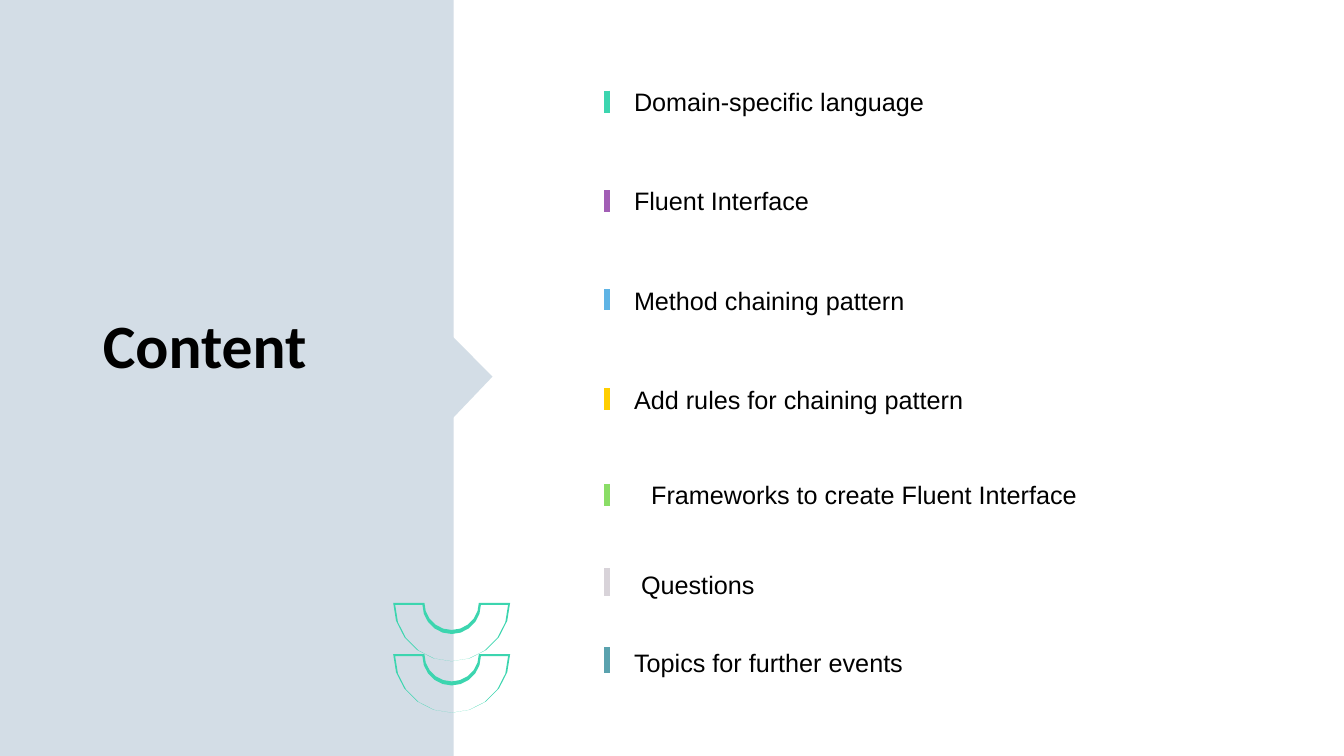
from math import cos, pi, sin

from lxml.etree import SubElement
from pptx import Presentation
from pptx.dml.color import RGBColor
from pptx.enum.shapes import MSO_CONNECTOR, MSO_SHAPE
from pptx.enum.text import MSO_ANCHOR, MSO_AUTO_SIZE, PP_ALIGN
from pptx.oxml.ns import qn
from pptx.util import Inches, Pt

COLORS = {
    "panel": "D3DDE6",
    "text": "000000",
    "mint": "3CD5AF",
    "purple": "A25EB5",
    "blue": "5FB4E5",
    "yellow": "FFCE00",
    "green": "8ADD66",
    "gray": "D8D3D9",
    "teal": "5AA2AE",
}

TOPICS = [
    ("Domain-specific language", 6.19, 0.81, 3.83, "mint", 0.9, 1.12),
    ("Fluent Interface", 6.19, 1.79, 4.7, "purple", 1.89, 2.1),
    ("Method chaining pattern", 6.19, 2.78, 4.7, "blue", 2.87, 3.08),
    ("Add rules for chaining pattern", 6.19, 3.76, 4.02, "yellow", 3.85, 4.07),
    ("Frameworks to create Fluent Interface", 6.36, 4.71, 5.58, "green", 4.8, 5.02),
    ("Questions", 6.26, 5.6, 5.58, "gray", 5.64, 5.91),
    ("Topics for further events", 6.19, 6.37, 5.58, "teal", 6.42, 6.68),
]


def paint(shape, color):
    shape.shadow.inherit = False
    shape.fill.solid()
    shape.fill.fore_color.rgb = RGBColor.from_string(COLORS[color])
    shape.line.fill.background()


def half_ring(top, outer_radius, inner_radius):
    steps = 10
    angles = [pi * step / steps for step in range(steps + 1)]
    points = [(-outer_radius * cos(a), top + outer_radius * sin(a)) for a in angles]
    points += [(inner_radius * cos(a), top + inner_radius * sin(a)) for a in angles]
    return [(Inches(4.48 + x), Inches(y)) for x, y in points]


presentation = Presentation()
presentation.slide_width = Inches(13.33)
presentation.slide_height = Inches(7.5)
slide = presentation.slides.add_slide(presentation.slide_layouts[5])
shapes = slide.shapes

panel = shapes.add_shape(
    MSO_SHAPE.RECTANGLE, Inches(0), Inches(-0.04), Inches(4.5), Inches(7.54)
)
paint(panel, "panel")

ornament = shapes.add_group_shape()
for top in (6.49, 5.98):
    outer_edge = half_ring(top, 0.58, 0.27)
    inner_edge = half_ring(top + 0.02, 0.56, 0.29)
    builder = ornament.shapes.build_freeform(*outer_edge[0])
    builder.add_line_segments(outer_edge[1:], close=True)
    builder.move_to(*inner_edge[0])
    builder.add_line_segments(inner_edge[1:], close=True)
    paint(builder.convert_to_shape(), "mint")

pointer = shapes.add_shape(
    MSO_SHAPE.ISOSCELES_TRIANGLE, Inches(3.97), Inches(3.45), Inches(1.23), Inches(0.6)
)
pointer.rotation = 90
pointer.adjustments[0] = 0.489
paint(pointer, "panel")

for text, left, top, width, color, marker_top, marker_bottom in TOPICS:
    marker_x = Inches(6.02)
    marker = shapes.add_connector(
        MSO_CONNECTOR.STRAIGHT, marker_x, Inches(marker_top), marker_x, Inches(marker_bottom)
    )
    marker.line.color.rgb = RGBColor.from_string(COLORS[color])
    marker.line.width = Pt(4.5)
    SubElement(marker._element.spPr, qn("a:effectLst"))

    topic = shapes.add_textbox(Inches(left), Inches(top), Inches(width), Inches(0.4))
    topic.text_frame.word_wrap = True
    topic.text_frame.auto_size = MSO_AUTO_SIZE.SHAPE_TO_FIT_TEXT
    paragraph = topic.text_frame.paragraphs[0]
    paragraph.text = text
    paragraph.font.name = "Arial"
    paragraph.font.size = Pt(18)
    paragraph.font.color.rgb = RGBColor.from_string(COLORS["text"])

title = shapes.title
title.left, title.top = Inches(0.92), Inches(3.08)
title.width, title.height = Inches(3.37), Inches(1.45)
title.text_frame.word_wrap = True
title.text_frame.auto_size = MSO_AUTO_SIZE.NONE
title.text_frame.vertical_anchor = MSO_ANCHOR.TOP
paragraph = title.text_frame.paragraphs[0]
paragraph.text = "Content"
paragraph.alignment = PP_ALIGN.LEFT
paragraph.line_spacing = 0.9
paragraph.font.name = "Calibri"
paragraph.font.size = Pt(44)
paragraph.font.bold = True
paragraph.font.color.rgb = RGBColor.from_string(COLORS["text"])
shapes._spTree.append(title._element)

presentation.save("out.pptx")
